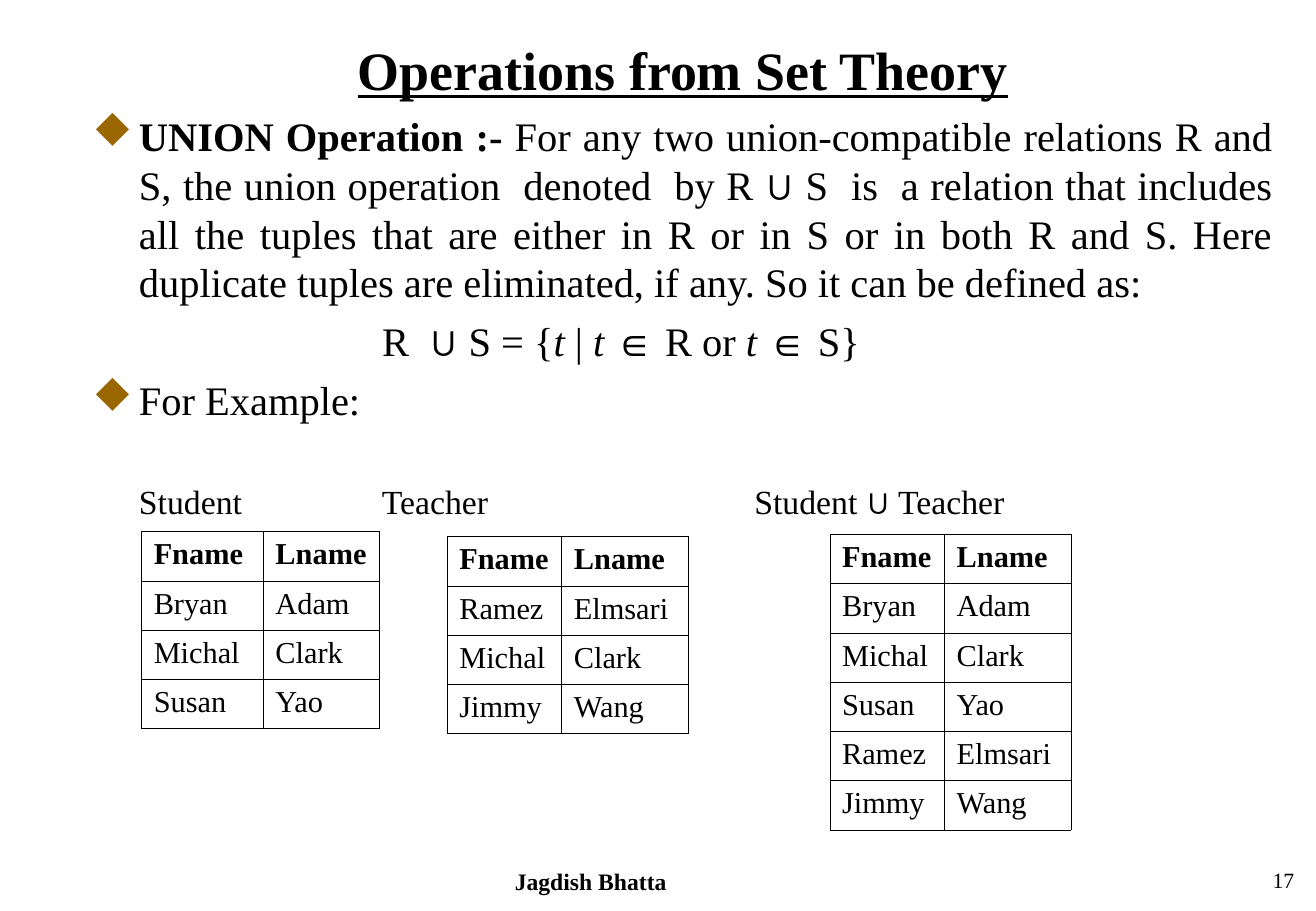
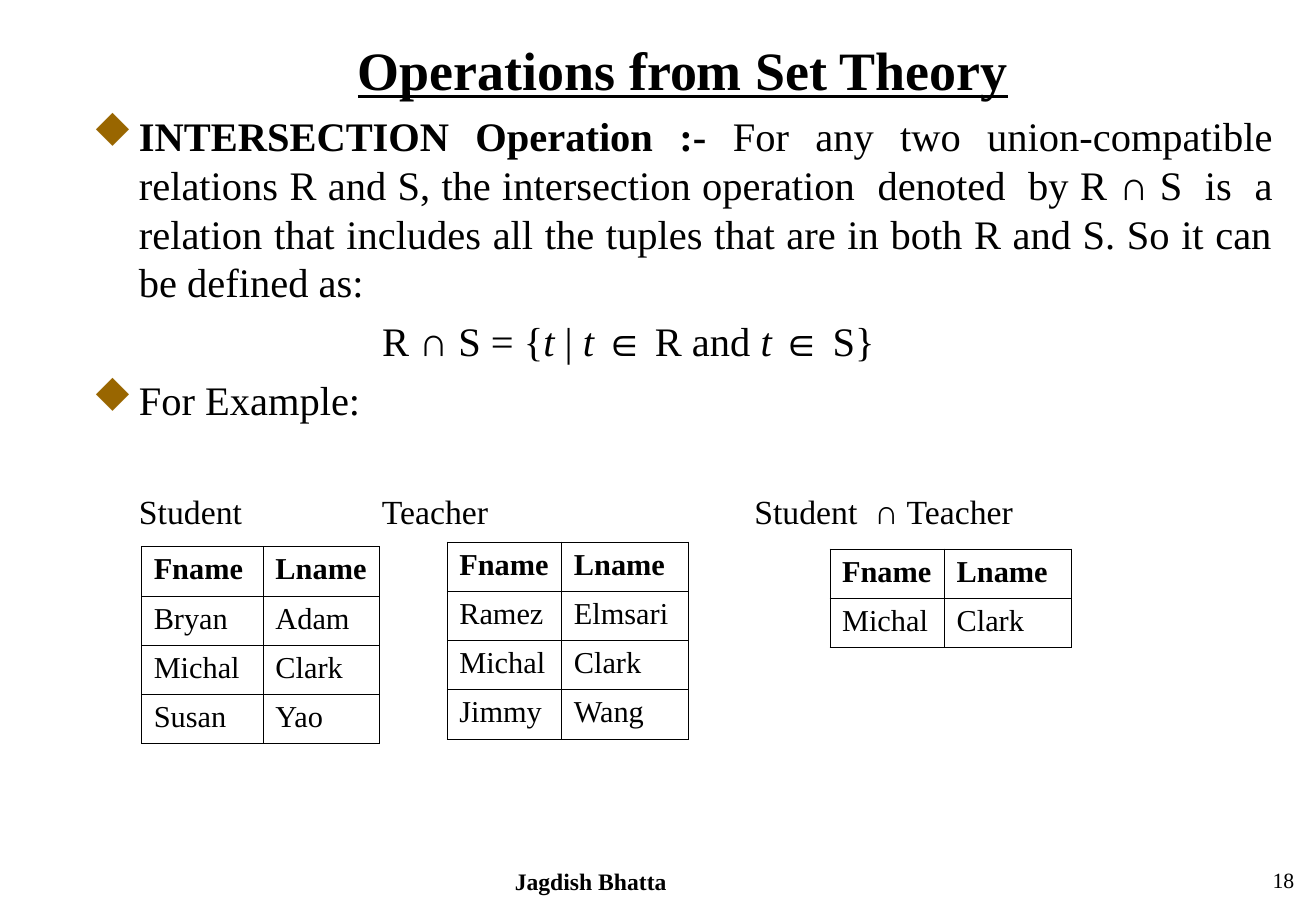
from dataclasses import dataclass
from lxml import etree
from pptx import Presentation
from pptx import util as u
from pptx.dml import color as col
from pptx.enum import text as tx
from pptx.oxml import ns

Pt = u.Pt
AL = tx.PP_ALIGN


@dataclass(frozen=True)
class Theme:
    ink: str = "000000"
    gem: str = "996600"
    face: str = "Times New Roman"
    sign: str = "Arial"
    mark: str = "Wingdings"
    head: float = 32
    body: float = 24
    label: float = 20
    cell: float = 18
    foot: float = 14
    num: float = 12.9
    rule: float = 0.45
    lead: float = 1.205  # line pitch per point of type


T = Theme()

# Run styles
PLAIN, BOLD, ITAL = {}, {"bold": True}, {"italic": True}
SIGN, SBOLD = {"name": T.sign}, {"name": T.sign, "bold": True}

# Places shared by both slides
SIZE = (780.48, 540)
HEAD = (48.2, 21.5, 714, 40)
BODY = (55, 65.7, 699.8, 210)
FOOT = 510.4
HANG, DEEP = 27.4, 171.6
LABELS = (82.4, 226.5, 447.4)
GRIDS = ((84, (72.2, 69)), (265.2, (68, 75)), (492.2, (68, 75)))
ROW = 29.2

# Relations
NAMES = ("Fname", "Lname")
STUDENT = [("Bryan", "Adam"), ("Michal", "Clark"), ("Susan", "Yao")]
TEACHER = [("Ramez", "Elmsari"), ("Michal", "Clark"), ("Jimmy", "Wang")]
UNION = STUDENT + [row for row in TEACHER if row not in STUDENT]
BOTH = [row for row in STUDENT if row in TEACHER]


def style(obj, vals):
    for key, val in vals.items():
        setattr(obj, key, val)


def sub(node, tag, **attrs):
    return etree.SubElement(node, ns.qn(tag), attrs)


def put(par, runs, size, **fmt):
    """Write styled runs into a paragraph."""
    for words, look in runs:
        run = par.add_run()
        run.text = words
        style(run.font, {"name": T.face, "size": Pt(size), **fmt, **look})
        run.font.color.rgb = col.RGBColor.from_string(T.ink)


def frame(slide, box, pad=0):
    form = slide.shapes.add_textbox(*map(Pt, box)).text_frame
    side = Pt(pad)
    style(form, {"word_wrap": True, "margin_left": side, "margin_right": side,
                 "margin_top": Pt(pad / 2), "margin_bottom": Pt(pad / 2)})
    return form


def line(slide, box, runs, size, align=AL.LEFT, pad=0, fixed=True, **fmt):
    """One-paragraph text box."""
    par = frame(slide, box, pad).paragraphs[0]
    par.alignment = align
    if fixed:
        par.line_spacing = Pt(round(size * T.lead, 1))
    put(par, runs, size, **fmt)


def body(slide, items):
    """Justified paragraphs: (runs, bulleted)."""
    form = frame(slide, BODY)
    for k, (runs, gem) in enumerate(items):
        par = form.add_paragraph() if k else form.paragraphs[0]
        style(par, {"alignment": AL.JUSTIFY,
                    "line_spacing": Pt(round(T.body * T.lead, 1)),
                    "space_before": Pt(6 if k else 0)})
        prop = par._p.get_or_add_pPr()
        prop.set("marL", str(Pt(HANG if gem else DEEP)))
        prop.set("indent", str(Pt(-HANG if gem else 0)))
        if gem:
            sub(sub(prop, "a:buClr"), "a:srgbClr", val=T.gem)
            # The symbol font draws this letter as a diamond
            sub(prop, "a:buFont", typeface=T.mark, pitchFamily="2", charset="2")
            sub(prop, "a:buChar", char="u")
        else:
            sub(prop, "a:buNone")
        put(par, runs, T.body)


def edge(cell):
    """Thin rule on all four sides, no fill."""
    prop = cell._tc.get_or_add_tcPr()
    for side in "LRTB":
        rule = sub(prop, "a:ln" + side, w=str(Pt(T.rule)))
        sub(sub(rule, "a:solidFill"), "a:srgbClr", val=T.ink)
    cell.fill.background()


def grid(slide, left, top, cols, rows):
    data = [NAMES, *rows]
    size = map(Pt, (left, top, sum(cols), ROW * len(data)))
    table = slide.shapes.add_table(len(data), len(cols), *size).table
    style(table, {"first_row": False, "horz_banding": False})
    for part, wide in zip(table.columns, cols):
        part.width = Pt(wide)
    for r, row in enumerate(data):
        table.rows[r].height = Pt(ROW)
        for c, word in enumerate(row):
            cell = table.cell(r, c)
            edge(cell)
            put(cell.text_frame.paragraphs[0], [(word, PLAIN)], T.cell, bold=r == 0)


def page(deck, num, text, rule, label, top, tops, last):
    slide = deck.slides.add_slide(deck.slide_layouts[6])
    # Title and text
    line(slide, HEAD, [("Operations from Set Theory", PLAIN)], T.head,
         AL.CENTER, bold=True, underline=True)
    body(slide, [(text, True), (rule, False), ([("For Example:", PLAIN)], True)])
    # Labelled relations
    names = ([("Student", PLAIN)], [("Teacher", PLAIN)], label)
    for left, runs in zip(LABELS, names):
        line(slide, (left, top, 200, 24), runs, T.label)
    for (left, cols), high, rows in zip(GRIDS, tops, (STUDENT, TEACHER, last)):
        grid(slide, left, high, cols, rows)
    # Footer
    line(slide, (204.2, FOOT, 292.3, 24), [("Jagdish Bhatta", BOLD)], T.foot,
         AL.CENTER, 7.2, False)
    line(slide, (612, FOOT, 162.7, 24), [(str(num), PLAIN)], T.num,
         AL.RIGHT, 7.2, False)


def rule(start, sign, word):
    """Set definition, as runs."""
    return [(start, PLAIN), (sign, SIGN), (" S = {", PLAIN), ("t", ITAL),
            (" | ", PLAIN), ("t ", ITAL), ("∈", SIGN), (" R " + word, PLAIN),
            (" t ", ITAL), ("∈", SIGN), (" S}", PLAIN)]


def main():
    deck = Presentation()
    style(deck, dict(zip(("slide_width", "slide_height"), map(Pt, SIZE))))
    page(deck, 17,
         [("UNION Operation :- ", BOLD),
          ("For any two union-compatible relations R and S, the union operation"
           "  denoted  by R ", PLAIN),
          ("∪", SBOLD),
          (" S  is  a relation that includes all the tuples that are either in R"
           " or in S or in both R and S. Here duplicate tuples are eliminated,"
           " if any. So it can be defined as:", PLAIN)],
         rule("R  ", "∪", "or"),
         [("Student ", PLAIN), ("∪", SBOLD), (" Teacher", PLAIN)],
         285, (315.2, 318.2, 316.8), UNION)
    page(deck, 18,
         [("INTERSECTION Operation :- ", BOLD),
          ("For any two union-compatible relations R and S, the intersection"
           " operation  denoted  by R ", PLAIN),
          ("∩", SBOLD),
          (" S  is  a relation that includes all the tuples that are in both R"
           " and S. So it can be defined as:", PLAIN)],
         rule("R ", "∩", "and"),
         [("Student  ", PLAIN), ("∩", SIGN), (" Teacher", PLAIN)],
         291, (324, 321.2, 325.4), BOTH)
    deck.save("out.pptx")


if __name__ == "__main__":
    main()
